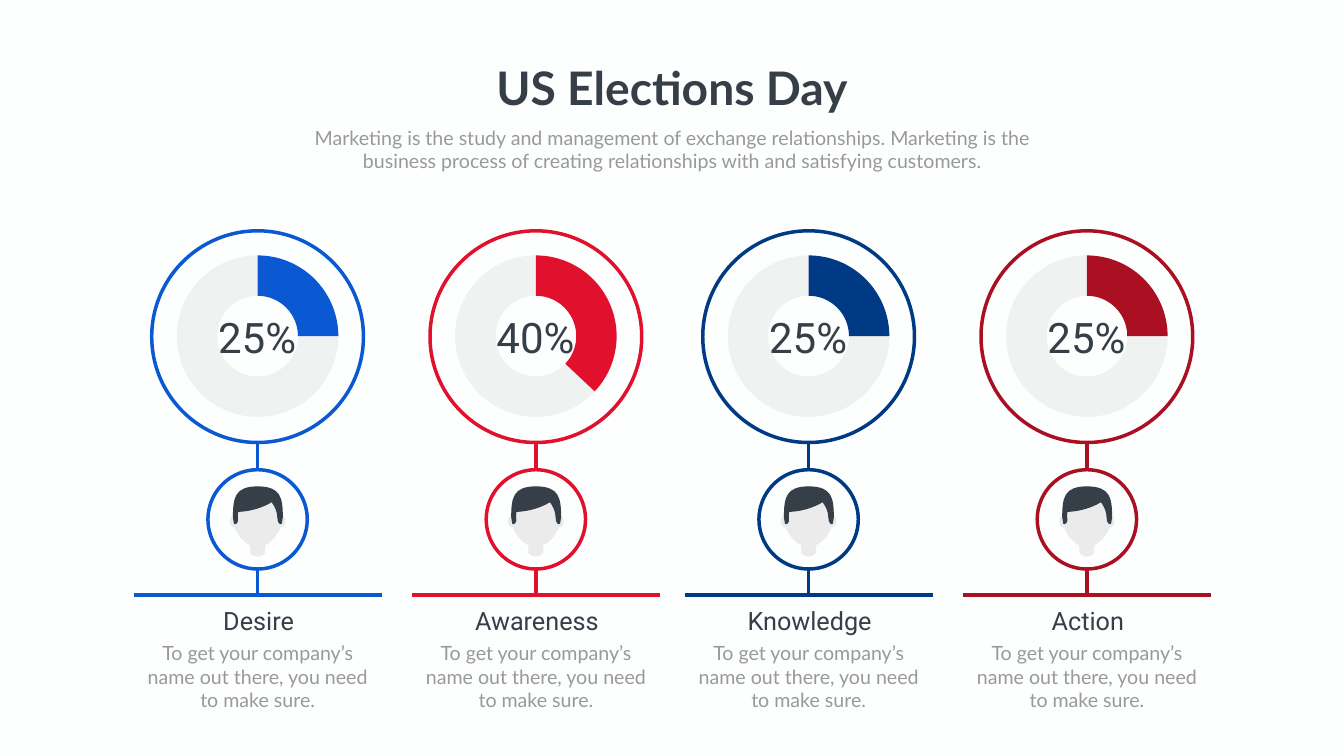
from lxml import etree
from pptx import Presentation
from pptx.chart.data import CategoryChartData
from pptx.dml.color import RGBColor
from pptx.enum.chart import XL_CHART_TYPE
from pptx.enum.shapes import MSO_CONNECTOR, MSO_SHAPE
from pptx.enum.text import MSO_AUTO_SIZE, PP_ALIGN
from pptx.oxml.ns import qn
from pptx.util import Inches, Pt

DOUGHNUT = XL_CHART_TYPE.DOUGHNUT
STRAIGHT = MSO_CONNECTOR.STRAIGHT
OVAL = MSO_SHAPE.OVAL
CENTER = PP_ALIGN.CENTER
GROW = MSO_AUTO_SIZE.SHAPE_TO_FIT_TEXT

TITLE = "US Elections Day"
SUBTITLE = (
    "Marketing is the study and management of exchange relationships. "
    "Marketing is the business process of creating relationships with "
    "and satisfying customers."
)
DESCRIPTION = "To get your company’s name out there, you need to make sure."

# label, colour, centre x, chart value, text in the ring
COLUMNS = [
    ("Desire", "0A59D2", 5.11, 25, "25%"),
    ("Awareness", "E1102D", 10.63, 37, "40%"),
    ("Knowledge", "003984", 16.04, 25, "25%"),
    ("Action", "AB0F22", 21.56, 25, "25%"),
]

THEME = {
    "background": "FDFFFE", "dark": "363E48", "muted": "999999",
    "skin": "EBEBEB", "track": "808080", "track_alpha": 10000,
    "heading": "Lato", "label": "Roboto", "chart": "Calibri",
    "title_size": 66, "body_size": 28, "label_size": 36,
    "percent_size": 60, "chart_size": 10, "line": 5,
}

# Avatar outlines in inches from the top centre of the small circle.
# Two numbers are a line to a point, six a cubic curve.
HEAD = [
    (0, 0.33), (0.46, 0.33, 0.49, 0.60, 0.49, 0.94),
    (0.49, 1.19, 0.32, 1.41, 0.15, 1.50), (0.15, 1.65),
    (0.05, 1.75, -0.07, 1.75, -0.15, 1.65), (-0.15, 1.50),
    (-0.33, 1.41, -0.49, 1.19, -0.49, 0.94),
    (-0.49, 0.60, -0.47, 0.33, 0, 0.33),
]
RIGHT_EAR = [
    (0.55, 1.05), (0.53, 1.12, 0.49, 1.16, 0.45, 1.15),
    (0.41, 1.14, 0.40, 1.08, 0.41, 1.02),
    (0.43, 0.96, 0.47, 0.92, 0.51, 0.92),
    (0.54, 0.93, 0.56, 0.99, 0.55, 1.05),
]
LEFT_EAR = [
    tuple(-n if i % 2 == 0 else n for i, n in enumerate(step))
    for step in RIGHT_EAR
]
HAIR = [
    (0.02, 0.33), (-0.02, 0.33),
    (-0.44, 0.34, -0.49, 0.54, -0.49, 0.94), (-0.47, 1.07), (-0.44, 1.08),
    (-0.44, 1.08, -0.37, 1.07, -0.39, 0.94),
    (-0.41, 0.81, -0.31, 0.48, 0, 0.48),
    (0.21, 0.48, 0.39, 0.75, 0.39, 0.94),
    (0.39, 1.07, 0.45, 1.08, 0.45, 1.08), (0.48, 1.07), (0.50, 0.94),
    (0.50, 0.54, 0.45, 0.34, 0.02, 0.33),
]
FRINGE = [
    (0.41, 0.55), (0.41, 0.55, 0.11, 0.84, -0.47, 0.84),
    (-0.47, 0.84, -0.49, 0.52, -0.22, 0.39),
    (0.06, 0.27, 0.36, 0.45, 0.41, 0.55),
]
AVATAR = [(HEAD, "skin"), (RIGHT_EAR, "skin"), (LEFT_EAR, "skin"),
          (HAIR, "dark"), (FRINGE, "dark")]

RING_TOP, RING_SIZE = 4.58, 4.2
AVATAR_TOP, AVATAR_SIZE = 9.32, 1.97
BASE_Y, BASE_WIDTH = 11.81, 4.92
CHART_TOP, CHART_WIDTH, CHART_HEIGHT = 4.93, 3.59, 3.48


def color(value):
    return RGBColor.from_string(value)


def add_text(slide, text, center, top, width, height, size, font,
             text_color, bold=False, wrap=True):
    box = slide.shapes.add_textbox(Inches(center - width / 2), Inches(top),
                                   Inches(width), Inches(height))
    frame = box.text_frame
    frame.word_wrap = wrap
    frame.auto_size = GROW
    paragraph = frame.paragraphs[0]
    paragraph.alignment = CENTER
    run = paragraph.add_run()
    run.text = text
    run.font.size = Pt(size)
    run.font.name = font
    run.font.bold = bold
    run.font.color.rgb = color(text_color)


def add_circle(slide, center, top, size, line_color):
    shape = slide.shapes.add_shape(OVAL, Inches(center - size / 2), Inches(top),
                                   Inches(size), Inches(size))
    shape.shadow.inherit = False
    shape.fill.background()
    shape.line.color.rgb = color(line_color)
    shape.line.width = Pt(THEME["line"])


def add_line(slide, x1, y1, x2, y2, line_color):
    line = slide.shapes.add_connector(STRAIGHT, Inches(x1), Inches(y1),
                                      Inches(x2), Inches(y2))
    line.line.color.rgb = color(line_color)
    line.line.width = Pt(THEME["line"])
    etree.SubElement(line._element.spPr, qn("a:effectLst"))


def bend_curves(shape, outline):
    """Join each three line segments of a curve step into one cubic curve."""
    segments = iter(shape._element.spPr.findall(".//" + qn("a:lnTo")))
    for step in outline[1:]:
        segment = next(segments)
        if len(step) == 6:
            segment.tag = qn("a:cubicBezTo")
            for _ in range(2):
                extra = next(segments)
                segment.append(extra[0])
                extra.getparent().remove(extra)


def add_avatar(slide, center, top):
    for outline, fill in AVATAR:
        points = [(Inches(center + step[i]), Inches(top + step[i + 1]))
                  for step in outline for i in range(0, len(step), 2)]
        builder = slide.shapes.build_freeform(*points[0])
        builder.add_line_segments(points[1:], close=False)
        shape = builder.convert_to_shape()
        bend_curves(shape, outline)
        shape.shadow.inherit = False
        shape.fill.solid()
        shape.fill.fore_color.rgb = color(THEME[fill])
        shape.line.fill.background()


def add_doughnut(slide, center, value, value_color):
    data = CategoryChartData()
    data.categories = ["1", "2"]
    data.add_series("Series 1", (value, 100 - value))
    chart = slide.shapes.add_chart(
        DOUGHNUT, Inches(center - CHART_WIDTH / 2), Inches(CHART_TOP),
        Inches(CHART_WIDTH), Inches(CHART_HEIGHT), data).chart
    chart.has_legend = False
    chart.has_title = False
    chart.font.size = Pt(THEME["chart_size"])
    chart.font.name = THEME["chart"]
    chart.font.color.rgb = color(THEME["muted"])
    plot = chart.plots[0]
    plot.vary_by_categories = True
    plot._element.find(qn("c:holeSize")).set("val", "80")
    for i, fill in enumerate((value_color, THEME["track"])):
        point_format = plot.series[0].points[i].format
        point_format.fill.solid()
        point_format.fill.fore_color.rgb = color(fill)
        point_format.line.fill.background()
    track = plot._element.findall(".//" + qn("a:srgbClr"))[-1]
    etree.SubElement(track, qn("a:alpha"), val=str(THEME["track_alpha"]))


def add_column(slide, label, accent, center, value, percent):
    add_circle(slide, center, RING_TOP, RING_SIZE, accent)
    add_line(slide, center, RING_TOP + RING_SIZE, center, AVATAR_TOP, accent)
    add_circle(slide, center, AVATAR_TOP, AVATAR_SIZE, accent)
    add_line(slide, center, AVATAR_TOP + AVATAR_SIZE, center, BASE_Y, accent)
    add_line(slide, center - BASE_WIDTH / 2, BASE_Y,
             center + BASE_WIDTH / 2, BASE_Y, accent)
    add_text(slide, label, center + 0.02, 11.97, 3.56, 0.71,
             THEME["label_size"], THEME["label"], THEME["dark"])
    add_text(slide, DESCRIPTION, center, 12.67, BASE_WIDTH, 1.51,
             THEME["body_size"], THEME["heading"], THEME["muted"])
    add_doughnut(slide, center, value, accent)
    add_text(slide, percent, center - 0.01, 6.13, 2.78, 1,
             THEME["percent_size"], THEME["label"], THEME["dark"])
    add_avatar(slide, center, AVATAR_TOP)


def main():
    presentation = Presentation()
    presentation.slide_width, presentation.slide_height = Inches(26.66), Inches(15)
    slide = presentation.slides.add_slide(presentation.slide_layouts[6])
    slide.background.fill.solid()
    slide.background.fill.fore_color.rgb = color(THEME["background"])
    add_text(slide, TITLE, 13.33, 1.12, 7.28, 1.21, THEME["title_size"],
             THEME["heading"], THEME["dark"], bold=True, wrap=False)
    add_text(slide, SUBTITLE, 13.33, 2.44, 15.72, 1.04, THEME["body_size"],
             THEME["heading"], THEME["muted"])
    for column in COLUMNS:
        add_column(slide, *column)
    presentation.save("out.pptx")


if __name__ == "__main__":
    main()
